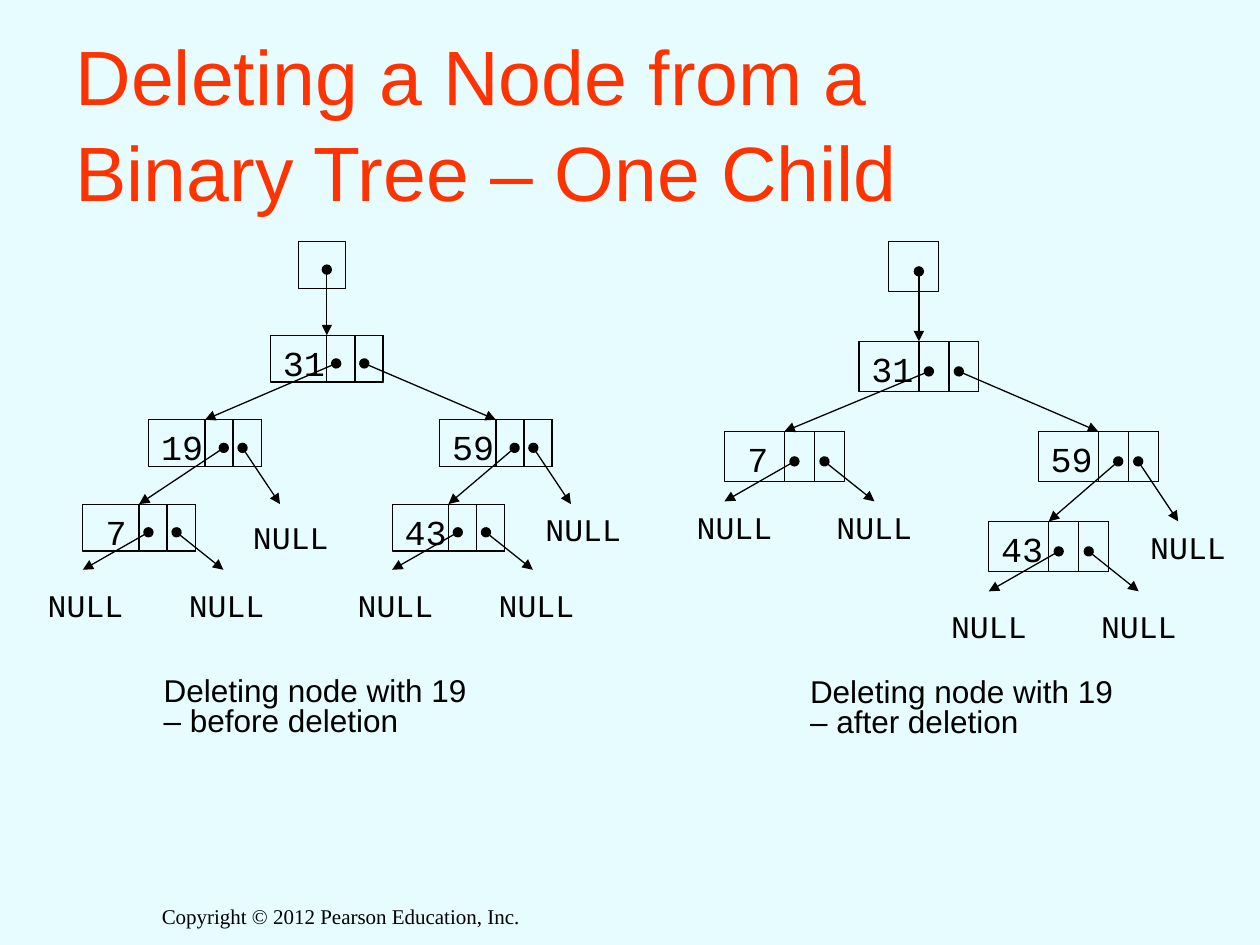
"""Build the slide on deleting a one-child node from a binary tree."""
from lxml import etree
from pptx import Presentation
from pptx.dml.color import RGBColor
from pptx.enum.shapes import MSO_CONNECTOR, MSO_SHAPE
from pptx.enum.text import MSO_ANCHOR, MSO_AUTO_SIZE, PP_ALIGN
from pptx.oxml.ns import qn
from pptx.util import Pt

RECTANGLE = MSO_SHAPE.RECTANGLE
STRAIGHT = MSO_CONNECTOR.STRAIGHT
LEFT, CENTER = PP_ALIGN.LEFT, PP_ALIGN.CENTER
MIDDLE = MSO_ANCHOR.MIDDLE
NO_FIT, GROW = MSO_AUTO_SIZE.NONE, MSO_AUTO_SIZE.SHAPE_TO_FIT_TEXT

COLORS = {"background": "E6FCFE", "title": "FF3300", "ink": "000000"}
TITLE = "Deleting a Node from a \vBinary Tree – One Child"
COPYRIGHT = "Copyright © 2012 Pearson Education, Inc."

# fmt: off
TREES = [
    {
        "unit": 16.08, "top": 191.6, "root": "31",
        "nodes": {"31": (154.6, 0), "59": (251.2, 1), "19": (85, 1), "7": (47.3, 2), "43": (224.1, 2)},
        "children": {"31": ("19", "59"), "19": ("7", None), "59": ("43", None),
                     "7": (None, None), "43": (None, None)},
        "nulls": [(137.5, 292.3), (304.6, 288), (20.2, 331.2), (100.8, 331.2),
                  (197.3, 331.2), (277.9, 331.2)],
        "caption": ("Deleting node with 19 – before deletion", 86.4, 383.8),
    },
    {
        "unit": 17.14, "top": 195.1, "root": "31",
        "nodes": {"31": (490.8, 0), "59": (593.3, 1), "7": (414, 1), "43": (565, 2)},
        "children": {"31": ("7", "59"), "59": ("43", None),
                     "7": (None, None), "43": (None, None)},
        "nulls": [(650.2, 298.1), (391, 286.6), (470.9, 286.6), (536.4, 343.4), (622.1, 343.4)],
        "caption": ("Deleting node with 19 – after deletion", 455.8, 384.5),
    },
]
# fmt: on


def color(name):
    return RGBColor.from_string(COLORS[name])


def format_text(frame, text, size, font, ink="ink", align=LEFT):
    frame.text = text
    paragraph = frame.paragraphs[0]
    paragraph.alignment = align
    for run in paragraph.runs:
        run.font.size = Pt(size)
        run.font.name = font
        run.font.color.rgb = color(ink)
    return paragraph


def add_label(shapes, text, x, y, width, height, size, font, wrap=False, align=LEFT):
    frame = shapes.add_textbox(Pt(x), Pt(y), Pt(width), Pt(height)).text_frame
    frame.word_wrap = wrap
    frame.auto_size = GROW
    return format_text(frame, text, size, font, align=align)


def add_box(shapes, x, y, width, height):
    box = shapes.add_shape(RECTANGLE, Pt(x), Pt(y), Pt(width), Pt(height))
    box.shadow.inherit = False
    box.fill.background()
    box.line.color.rgb = color("ink")
    box.line.width = Pt(0.75)
    return box


def add_pointer(shapes, start, tip, target=None):
    pointer = shapes.add_connector(STRAIGHT, *(Pt(value) for value in start + tip))
    if target is not None:
        pointer.end_connect(target, 0)
    pointer.line.color.rgb = color("ink")
    pointer.line.width = Pt(0.75)
    line = pointer.line._get_or_add_ln()
    etree.SubElement(line, qn("a:headEnd"), type="oval")
    etree.SubElement(line, qn("a:tailEnd"), type="triangle")
    etree.SubElement(pointer._element.spPr, qn("a:effectLst"))


def draw_tree(slide, tree):
    shapes = slide.shapes.add_group_shape().shapes
    unit = tree["unit"]
    height = unit * 5 / 3
    places = {value: (x, tree["top"] + 3 * unit * level)
              for value, (x, level) in tree["nodes"].items()}

    root_x, root_y = places[tree["root"]]
    add_box(shapes, root_x + unit, root_y - unit * 10 / 3, height, height)
    boxes = {}
    for value, (x, y) in places.items():
        boxes[value] = add_box(shapes, x, y, 4 * unit, height)
        for column in (3, 2):
            add_box(shapes, x + column * unit, y, unit, height)

    root_tip = (root_x + 2 * unit, root_y)
    add_pointer(shapes, (root_tip[0], root_y - unit * 7 / 3), root_tip, boxes[tree["root"]])
    for value, (left, right) in tree["children"].items():
        x, y = places[value]
        one_child = left is not None and right is None
        starts = (8 / 3 if one_child else 7 / 3, 10 / 3)
        null_tips = ((0, 7 / 3), (14 / 3, 3) if one_child else (5, 7 / 3))
        for child, start, (across, down) in zip((left, right), starts, null_tips):
            if child is None:
                tip = (x + across * unit, y + down * unit)
            else:
                tip = (places[child][0] + 2 * unit, places[child][1])
            add_pointer(shapes, (x + start * unit, y + unit), tip, boxes.get(child))

    for x, y in tree["nulls"]:
        add_label(shapes, "NULL", x, y, 57.6, 28.8, 18, "Courier New")
    for value, (x, y) in places.items():
        indent = 6 if len(value) == 1 else 0
        add_label(shapes, value, x + indent, y, 14.4 + 12 * len(value), 31.7, 20, "Courier New")

    text, x, y = tree["caption"]
    caption = add_label(slide.shapes, text, x, y, 199.4, 41.8, 18, "Arial", wrap=True)
    caption.line_spacing = 0.8


def main():
    deck = Presentation()
    deck.slide_width, deck.slide_height = Pt(720), Pt(540)
    slide = deck.slides.add_slide(deck.slide_layouts[5])
    slide.background.fill.solid()
    slide.background.fill.fore_color.rgb = color("background")

    title = slide.shapes.title
    title.left, title.top, title.width, title.height = Pt(36), Pt(21.6), Pt(648), Pt(90)
    frame = title.text_frame
    frame.auto_size = NO_FIT
    frame.vertical_anchor = MIDDLE
    frame.margin_top, frame.margin_bottom = Pt(8), Pt(3.6)
    format_text(frame, TITLE, 44, "Arial", "title").line_spacing = 1.04

    add_label(slide.shapes, COPYRIGHT, 77.8, 512.6, 234, 43.9, 12, "Times New Roman",
              wrap=True, align=CENTER)
    for tree in TREES:
        draw_tree(slide, tree)
    deck.save("out.pptx")


if __name__ == "__main__":
    main()
